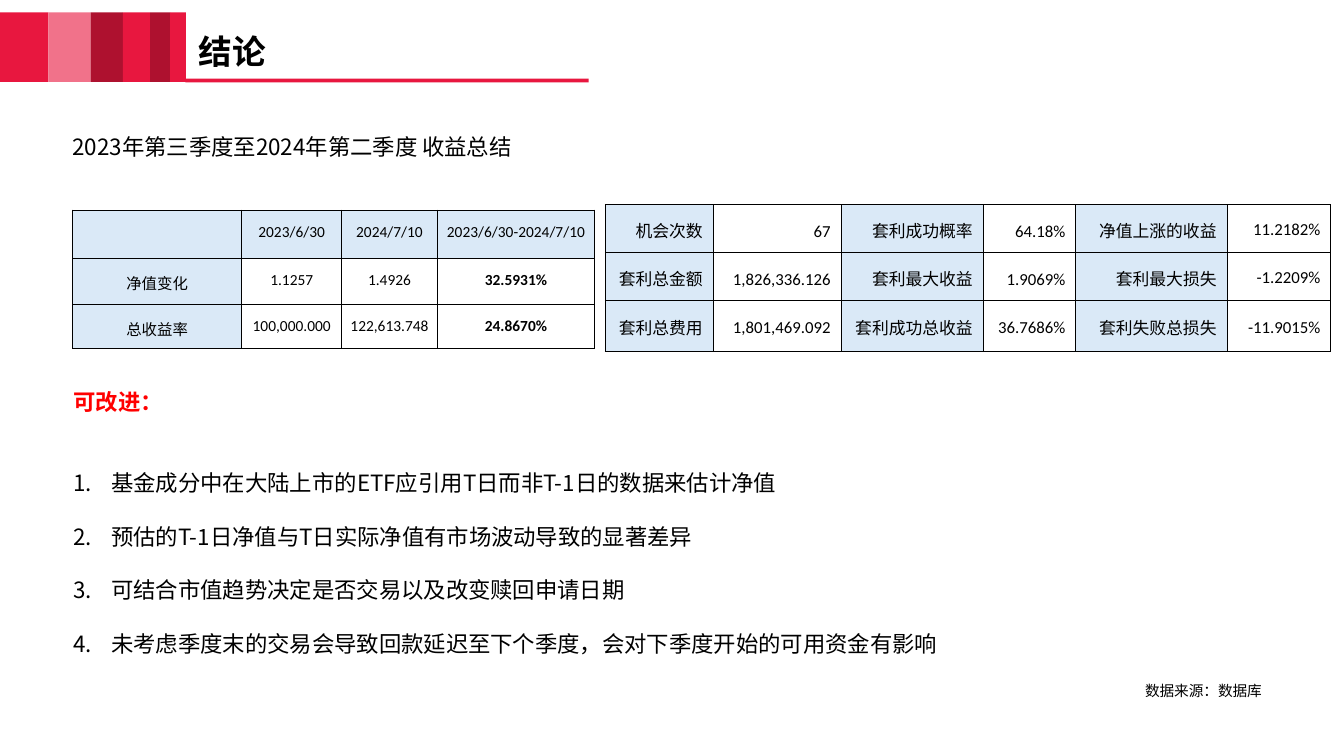
"""Build the conclusion slide with two result tables and a list of improvements."""
from itertools import accumulate

from pptx import Presentation
from pptx.dml.color import RGBColor
from pptx.enum import shapes, text
from pptx.oxml import ns, xmlchemy
from pptx.util import Pt

RED = RGBColor(0xE8, 0x17, 0x3F)
PINK = RGBColor(0xF1, 0x72, 0x8A)
DARK_RED = RGBColor(0xAE, 0x11, 0x2F)
ALERT = RGBColor(0xFF, 0x00, 0x00)
BLACK = RGBColor(0x00, 0x00, 0x00)
WHITE = RGBColor(0xFF, 0xFF, 0xFF)
PALE_BLUE = RGBColor(0xDA, 0xE9, 0xF7)
CJK = "Noto Sans CJK SC"
LEFT, CENTER, RIGHT = text.PP_ALIGN.LEFT, text.PP_ALIGN.CENTER, text.PP_ALIGN.RIGHT
TOP, MIDDLE, BOTTOM = text.MSO_ANCHOR.TOP, text.MSO_ANCHOR.MIDDLE, text.MSO_ANCHOR.BOTTOM


def add_xml(parent, tag, **attributes):
    element = xmlchemy.OxmlElement(tag)
    for name, value in attributes.items():
        element.set(name, str(value))
    parent.append(element)
    return element


def write(para, words, size=16, font=CJK, color=BLACK, bold=False, align=LEFT, spacing=None):
    para.alignment = align
    para.line_spacing = spacing or Pt(size * 1.2)
    span = para.add_run()
    span.text = words
    span.font.size = Pt(size)
    span.font.name = font
    span.font.bold = bold
    span.font.color.rgb = color
    add_xml(span.font._element, "a:ea", typeface=CJK)


deck = Presentation()
deck.slide_width, deck.slide_height = Pt(960), Pt(540)
page = deck.slides.add_slide(deck.slide_layouts[6])

band_colors = [RED, PINK, DARK_RED, RED, DARK_RED, RED]
band_widths = [34.6, 30.2, 23, 19.4, 14.4, 11.2]
band_lefts = accumulate(band_widths, initial=0)
bars = [(left, 8.9, width, 49.7, color)
        for left, width, color in zip(band_lefts, band_widths, band_colors)]
bars.append((132.5, 56.2, 288, 2.6, RED))
for left, top, width, height, color in bars:
    bar = page.shapes.add_shape(
        shapes.MSO_SHAPE.RECTANGLE, Pt(left), Pt(top), Pt(width), Pt(height))
    bar.shadow.inherit = False
    bar.fill.solid()
    bar.fill.fore_color.rgb = color
    bar.line.fill.background()

labels = [
    ("结论", (141.8, 24.5, 350, 24.5), MIDDLE, dict(size=24, bold=True)),
    ("2023年第三季度至2024年第二季度 收益总结", (51.8, 95.3, 342, 19.4), TOP, {}),
    ("数据来源：数据库", (702.7, 486.7, 198.7, 13), TOP, dict(size=10.5, align=RIGHT)),
]
for words, place, anchor, style in labels:
    box = page.shapes.add_textbox(*map(Pt, place))
    frame = box.text_frame
    frame.word_wrap = True
    frame.vertical_anchor = anchor
    frame.margin_left = frame.margin_right = frame.margin_top = frame.margin_bottom = 0
    write(frame.paragraphs[0], words, **style)

improvements = [
    "基金成分中在大陆上市的ETF应引用T日而非T-1日的数据来估计净值",
    "预估的T-1日净值与T日实际净值有市场波动导致的显著差异",
    "可结合市值趋势决定是否交易以及改变赎回申请日期",
    "未考虑季度末的交易会导致回款延迟至下个季度，会对下季度开始的可用资金有影响",
]
box = page.shapes.add_textbox(Pt(45.4), Pt(273.6), Pt(639.4), Pt(181.4))
box.text_frame.word_wrap = True
write(box.text_frame.paragraphs[0], "可改进：", color=ALERT, bold=True)
for index, words in enumerate(improvements):
    para = box.text_frame.add_paragraph()
    if index == 0:
        para.space_before = Pt(19.4)
    write(para, words, spacing=Pt(38.4))
    props = para._p.get_or_add_pPr()
    props.set("marL", str(Pt(27)))
    props.set("indent", str(-Pt(27)))
    add_xml(add_xml(props, "a:buClr"), "a:srgbClr", val=BLACK)
    add_xml(props, "a:buFont", typeface="+mj-lt")
    add_xml(props, "a:buAutoNum", type="arabicPeriod")

returns = [
    ["", "2023/6/30", "2024/7/10", "2023/6/30-2024/7/10"],
    ["净值变化", "1.1257", "1.4926", "32.5931%"],
    ["总收益率", "100,000.000", "122,613.748", "24.8670%"],
]
arbitrage = [
    ["机会次数", "67", "套利成功概率", "64.18%", "净值上涨的收益", "11.2182%"],
    ["套利总金额", "1,826,336.126", "套利最大收益", "1.9069%", "套利最大损失", "-1.2209%"],
    ["套利总费用", "1,801,469.092", "套利成功总收益", "36.7686%", "套利失败总损失", "-11.9015%"],
]
tables = [
    (returns, 51.8, 150.1, [121, 71.3, 68.4, 112.3], [34.3, 32.9, 32], 0.75),
    (arbitrage, 432.2, 145.9, [77, 91.4, 101.5, 66.2, 108, 74.2], [34.3, 34.3, 36.4], 0.38),
]
for rows, left, top, widths, heights, border in tables:
    is_returns = rows is returns
    table = page.shapes.add_table(
        len(rows), len(widths), Pt(left), Pt(top), Pt(sum(widths)), Pt(sum(heights))).table
    table.first_row = table.horz_banding = False
    for column, width in zip(table.columns, widths):
        column.width = Pt(width)
    for r, row in enumerate(rows):
        table.rows[r].height = Pt(heights[r])
        for c, words in enumerate(row):
            cell = table.cell(r, c)
            props = cell._tc.get_or_add_tcPr()
            for side in ("a:lnL", "a:lnR", "a:lnT", "a:lnB"):
                line = add_xml(props, side, w=Pt(border))
                add_xml(add_xml(line, "a:solidFill"), "a:srgbClr", val=BLACK)
            is_label = (r == 0 or c == 0) if is_returns else c % 2 == 0
            cell.fill.solid()
            cell.fill.fore_color.rgb = PALE_BLUE if is_label else WHITE
            if not words:
                continue
            cell.margin_top = cell.margin_bottom = Pt(7.2)
            cell.margin_left = cell.margin_right = Pt(5 if is_returns else 7.2)
            para = cell.text_frame.paragraphs[0]
            if is_returns:
                cell.vertical_anchor = TOP
                write(para, words, size=11, font="Arial" if c == 0 else "Calibri",
                      bold=r > 0 and c == 3, align=CENTER, spacing=1.15)
            else:
                cell.vertical_anchor = BOTTOM if r < 2 and c < 5 - r else MIDDLE
                write(para, words, size=12, font=CJK if is_label else "Calibri",
                      align=RIGHT, spacing=1.15)

deck.save("out.pptx")
